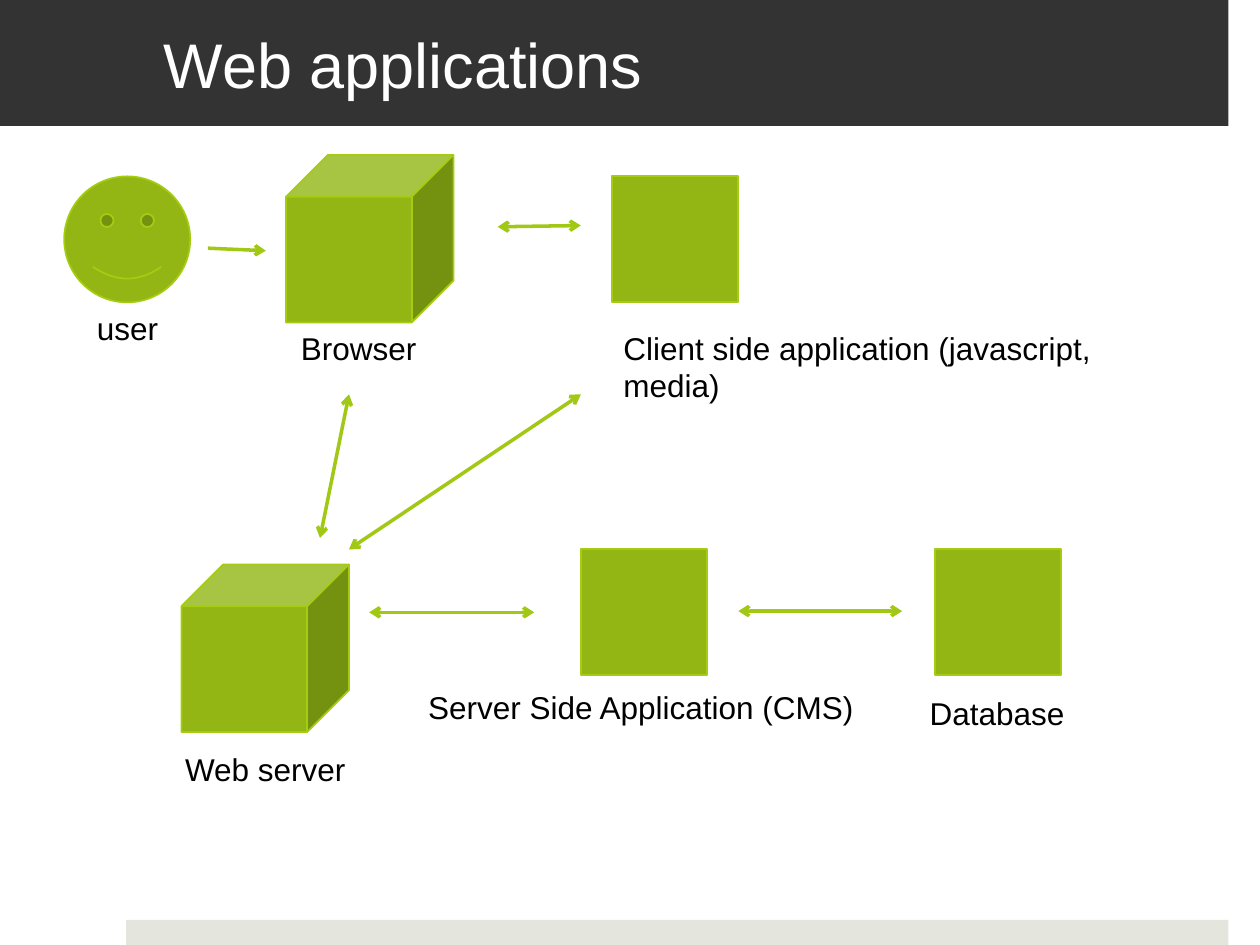
from lxml.etree import SubElement
from pptx import Presentation
from pptx.dml.color import RGBColor
from pptx.enum.shapes import MSO_CONNECTOR, MSO_SHAPE
from pptx.enum.text import MSO_ANCHOR, MSO_AUTO_SIZE, PP_ALIGN
from pptx.oxml.ns import qn
from pptx.util import Inches, Pt

WHITE = RGBColor(0xFF, 0xFF, 0xFF)
BLACK = RGBColor(0x00, 0x00, 0x00)
DARK = RGBColor(0x33, 0x33, 0x33)
FOOTER = RGBColor(0xE4, 0xE6, 0xDE)
GREEN = RGBColor(0x93, 0xB6, 0x14)
OUTLINE = RGBColor(0xA5, 0xCC, 0x12)
ARROW = RGBColor(0xA2, 0xC8, 0x16)

NODES = [
    (MSO_SHAPE.SMILEY_FACE, (0.51, 1.4, 1, 1), "user", (0.67, 2.4, 0.69, 0.4)),
    (MSO_SHAPE.CUBE, (2.27, 1.23, 1.33, 1.33), "Browser", (2.29, 2.56, 1.13, 0.4)),
    (MSO_SHAPE.RECTANGLE, (4.86, 1.4, 1, 1),
     "Client side application (javascript, media)", (4.85, 2.56, 4.63, 0.4)),
    (MSO_SHAPE.CUBE, (1.44, 4.48, 1.33, 1.33), "Web server", (1.37, 5.9, 1.49, 0.4)),
    (MSO_SHAPE.RECTANGLE, (4.61, 4.36, 1, 1),
     "Server Side Application (CMS)", (3.3, 5.41, 3.61, 0.4)),
    (MSO_SHAPE.RECTANGLE, (7.42, 4.36, 1, 1), "Database", (7.28, 5.46, 1.28, 0.4)),
]

ARROWS = [
    ((1.65, 1.97), (2.11, 1.99), False),
    ((3.95, 1.8), (4.61, 1.79), True),
    ((2.77, 3.13), (2.54, 4.27), True),
    ((4.61, 3.13), (2.77, 4.36), True),
    ((2.93, 4.86), (4.24, 4.86), True),
    ((5.86, 4.85), (7.16, 4.85), True),
]


def to_inches(values):
    """Convert a sequence of numbers to lengths."""
    return [Inches(value) for value in values]


def add_run(paragraph, text, size, color):
    """Append a formatted run to a paragraph."""
    run = paragraph.add_run()
    run.text = text
    run.font.name = "Arial"
    run.font.size = Pt(size)
    run.font.color.rgb = color


def add_filled_shape(slide, kind, box, fill, outline=None):
    """Draw a flat preset shape with an optional outline."""
    shape = slide.shapes.add_shape(kind, *to_inches(box))
    shape.shadow.inherit = False
    shape.fill.solid()
    shape.fill.fore_color.rgb = fill
    if outline is None:
        shape.line.fill.background()
    else:
        shape.line.color.rgb = outline
        shape.line.width = Pt(1)


def place_title(slide, box, text):
    """Turn the title placeholder into the dark header band."""
    title = slide.shapes.title
    title.left, title.top, title.width, title.height = to_inches(box)
    title.fill.solid()
    title.fill.fore_color.rgb = DARK
    frame = title.text_frame
    frame.word_wrap = True
    frame.auto_size = MSO_AUTO_SIZE.NONE
    frame.vertical_anchor = MSO_ANCHOR.MIDDLE
    frame.margin_left, frame.margin_right = Inches(1.3), Inches(0.3)
    frame.margin_top = frame.margin_bottom = Inches(0.05)
    paragraph = frame.paragraphs[0]
    paragraph.alignment = PP_ALIGN.LEFT
    add_run(paragraph, text, 36, WHITE)


def place_node(slide, kind, box, label, label_box):
    """Draw one component of the architecture with its label."""
    add_filled_shape(slide, kind, box, GREEN, OUTLINE)
    text_box = slide.shapes.add_textbox(*to_inches(label_box))
    frame = text_box.text_frame
    frame.word_wrap = False
    frame.auto_size = MSO_AUTO_SIZE.SHAPE_TO_FIT_TEXT
    add_run(frame.paragraphs[0], label, 18, BLACK)


def place_arrow(slide, start, end, two_way):
    """Draw a one-way or two-way arrow between two points."""
    connector = slide.shapes.add_connector(
        MSO_CONNECTOR.STRAIGHT, *to_inches(start + end))
    connector.line.color.rgb = ARROW
    connector.line.width = Pt(2)
    properties = connector.element.spPr
    line = properties.find(qn("a:ln"))
    for tag in ("a:headEnd", "a:tailEnd") if two_way else ("a:tailEnd",):
        SubElement(line, qn(tag), type="arrow")
    SubElement(properties, qn("a:effectLst"))


def main():
    """Build and save the presentation."""
    presentation = Presentation()
    presentation.slide_width, presentation.slide_height = Inches(10), Inches(7.5)
    slide = presentation.slides.add_slide(presentation.slide_layouts[5])
    place_title(slide, (0, 0, 9.75, 1), "Web applications")
    add_filled_shape(slide, MSO_SHAPE.RECTANGLE, (1, 7.3, 8.75, 0.2), FOOTER)
    for node in NODES:
        place_node(slide, *node)
    for arrow in ARROWS:
        place_arrow(slide, *arrow)
    presentation.save("out.pptx")


if __name__ == "__main__":
    main()
